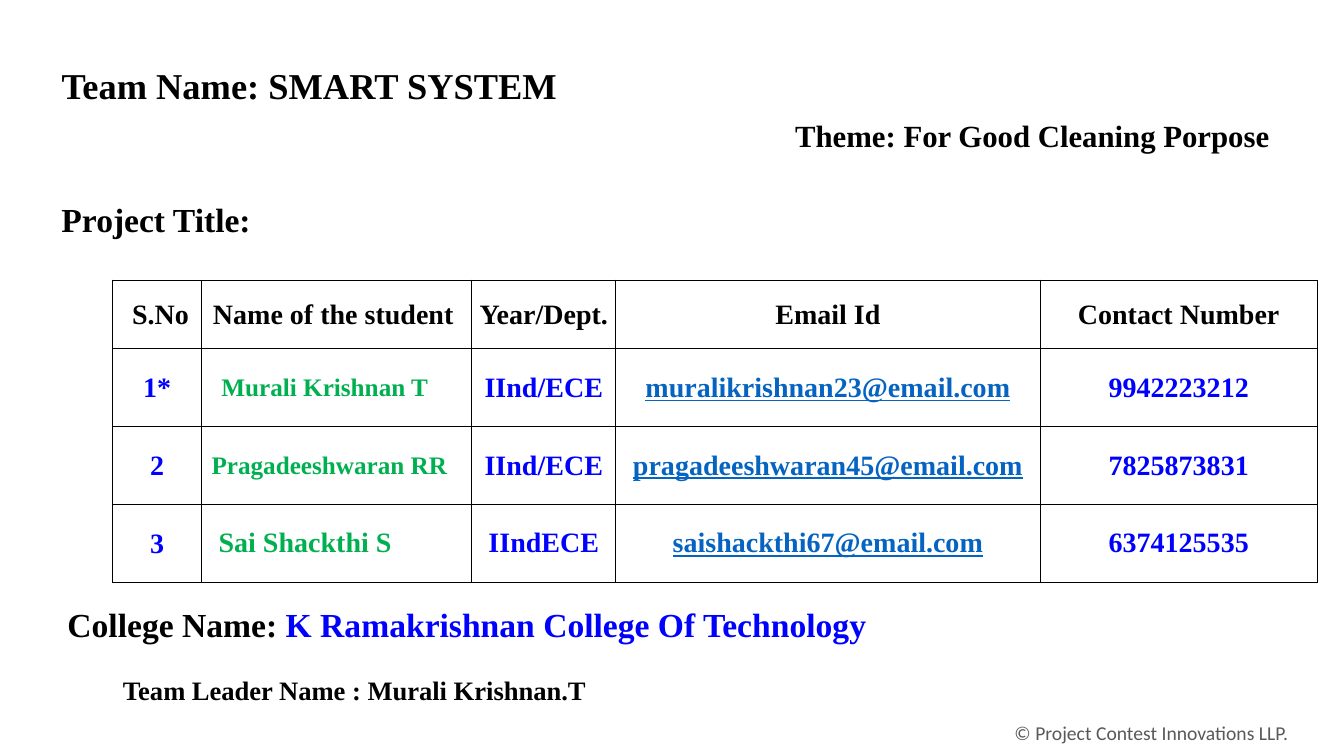
from pptx import Presentation
from pptx.util import Cm, Pt
from pptx.dml.color import RGBColor
from pptx.enum.text import MSO_ANCHOR as Anchor, MSO_AUTO_SIZE as Fit, PP_ALIGN as Align
from pptx.oxml import parse_xml

BLACK, BLUE, GREEN, LINK, GRAY = "000000", "0000FF", "00B050", "0563C1", "595959"
NS = "http://schemas.openxmlformats.org/drawingml/2006/main"
HEADS = ["S.No", "Name of the student", "Year/Dept.", "Email Id", "Contact Number"]
TEAM = [
    ["1*", "Murali Krishnan T", "IInd/ECE", "muralikrishnan23@email.com", "9942223212"],
    ["2", "Pragadeeshwaran RR", "IInd/ECE", "pragadeeshwaran45@email.com", "7825873831"],
    ["3", "Sai Shackthi S", "IIndECE", "saishackthi67@email.com", "6374125535"],
]
NAMES = [(18, 0.5), (18, 0.25), (20, 0.43)]
WIDTHS = [2.24, 6.81, 3.63, 10.69, 6.99]
TINY, WIDE = (0.03, 0.03, 0.03, 0), (0.25, 0.13, 0.25, 0.13)


def paint(color):
    """Turn a hex string into a colour."""
    return RGBColor.from_string(color)


def write(par, text, size=20, color=BLACK, bold=True, line=False,
          face="Times New Roman", align=Align.LEFT):
    """Add formatted text to a paragraph."""
    par.alignment = align
    run = par.add_run()
    run.text = text
    font = run.font
    font.name, font.size, font.bold = face, Pt(size), bold
    font.underline = line
    font.color.rgb = paint(color)


def inset(part, sides):
    """Set the four inner margins of a text frame or cell."""
    part.margin_left, part.margin_top, part.margin_right, part.margin_bottom = map(Cm, sides)


def label(slide, box, *parts, title=False, **style):
    """Place one line of text made of (text, colour) parts in a box."""
    spot = [Cm(n) for n in box]
    if title:
        shape = slide.shapes.title
        shape.left, shape.top, shape.width, shape.height = spot
    else:
        shape = slide.shapes.add_textbox(*spot)
    frame = shape.text_frame
    frame.word_wrap = True
    frame.auto_size = Fit.NONE if title else Fit.SHAPE_TO_FIT_TEXT
    frame.vertical_anchor = Anchor.TOP
    inset(frame, WIDE)
    for text, color in parts:
        write(frame.paragraphs[0], text, color=color, **style)


def fill(cell, text, sides, **style):
    """Write a table cell and draw its thin black border."""
    cell.vertical_anchor = Anchor.MIDDLE
    inset(cell, sides)
    write(cell.text_frame.paragraphs[0], text, **style)
    cell.fill.background()
    props = cell._tc.get_or_add_tcPr()
    for spot, side in enumerate("LRTB"):
        props.insert(spot, parse_xml(
            f'<a:ln{side} xmlns:a="{NS}" w="9525"><a:solidFill>'
            f'<a:srgbClr val="{BLACK}"/></a:solidFill></a:ln{side}>'))


def roster(slide, box):
    """Build the table of team members in a box."""
    table = slide.shapes.add_table(len(TEAM) + 1, len(HEADS), *map(Cm, box)).table
    for col, width in zip(table.columns, WIDTHS):
        col.width = Cm(width)
    for num, row in enumerate(table.rows):
        row.height = Cm(1.96 if num else 1.73)
    pads = {0: (0.2, 0.03, 0.03, 0), 1: (0.03, 0.03, 0.2, 0)}
    for col, head in enumerate(HEADS):
        fill(table.cell(0, col), head, pads.get(col, TINY), align=Align.CENTER)
    for num, (member, (size, left)) in enumerate(zip(TEAM, NAMES), 1):
        for col, text in enumerate(member):
            cell = table.cell(num, col)
            if col == 1:
                fill(cell, text, (left, *WIDE[1:]), size=size, color=GREEN)
            else:
                fill(cell, text, WIDE if col else TINY, align=Align.CENTER,
                     color=LINK if col == 3 else BLUE, line=col == 3)


def heading(slide, left, top):
    """Place team name, theme and project title from a corner."""
    label(slide, (left, top, 15.24, 1.37), ("Team Name: SMART SYSTEM", BLACK),
          title=True, size=26)
    label(slide, (left + 18.49, top + 1.37, 13.77, 1.19),
          ("Theme: For Good Cleaning Porpose", BLACK), size=22)
    label(slide, (left, top + 3.43, 20.95, 1.27), ("Project Title:", BLACK), size=24)


def closing(slide, left, top):
    """Place college, team leader and copyright line from a corner."""
    label(slide, (left, top, 28.8, 1.27), ("College Name: ", BLACK),
          ("K Ramakrishnan College Of Technology", BLUE), size=24)
    label(slide, (left + 1.4, top + 1.75, 16.94, 1.07),
          ("Team Leader Name : Murali Krishnan.T", BLACK), size=19)
    label(slide, (left + 20.65, top + 2.94, 10.62, 0.86),
          ("© Project Contest Innovations LLP.", GRAY),
          size=14, bold=False, face="Calibri", align=Align.RIGHT)


def main():
    """Build and save the slide."""
    deck = Presentation()
    deck.slide_width, deck.slide_height = Cm(33.87), Cm(19.05)
    slide = deck.slides.add_slide(deck.slide_layouts[5])
    heading(slide, 1.3, 1.45)
    roster(slide, (2.84, 7.06, sum(WIDTHS), 7.61))
    closing(slide, 1.45, 15.09)
    deck.save("out.pptx")


if __name__ == "__main__":
    main()
